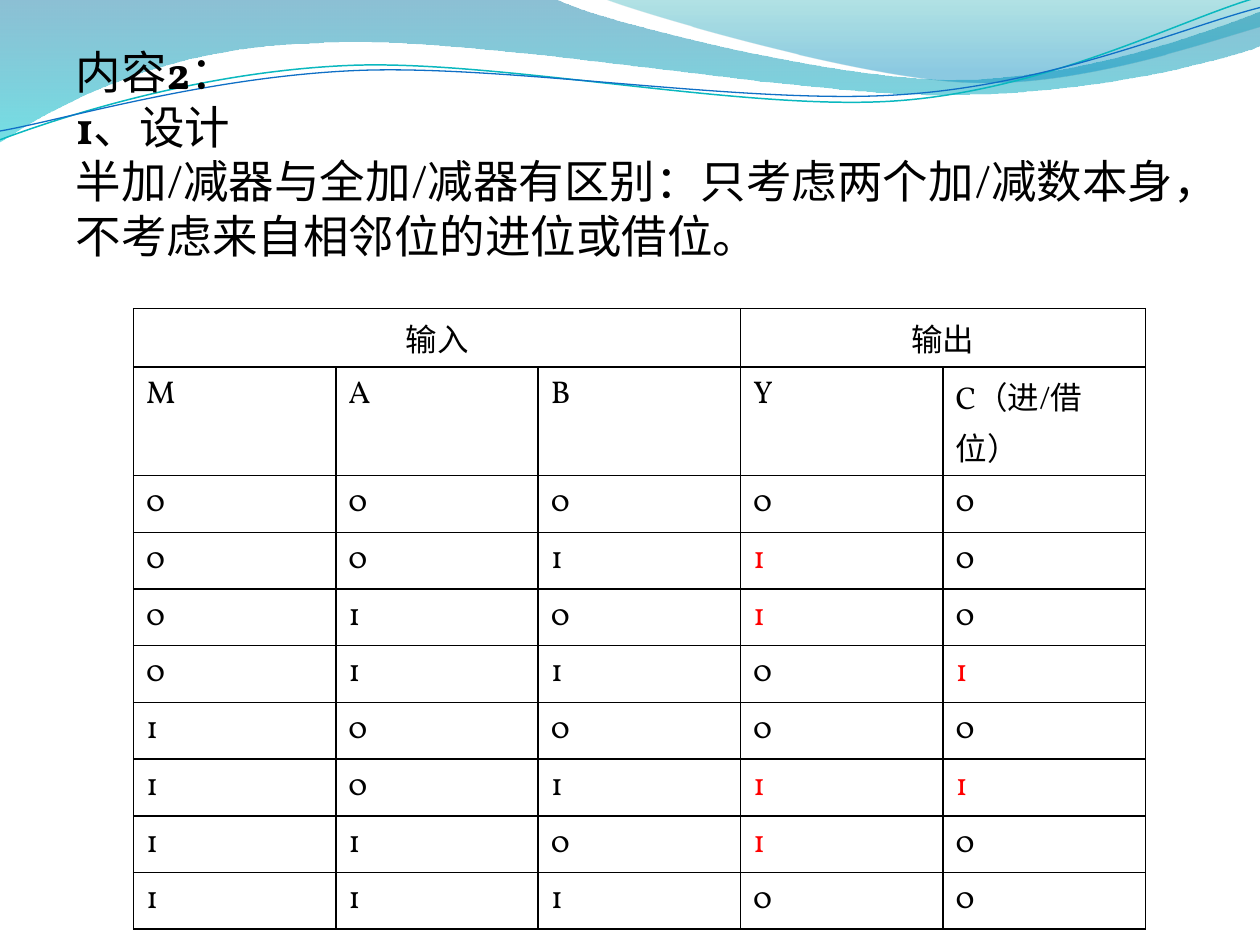
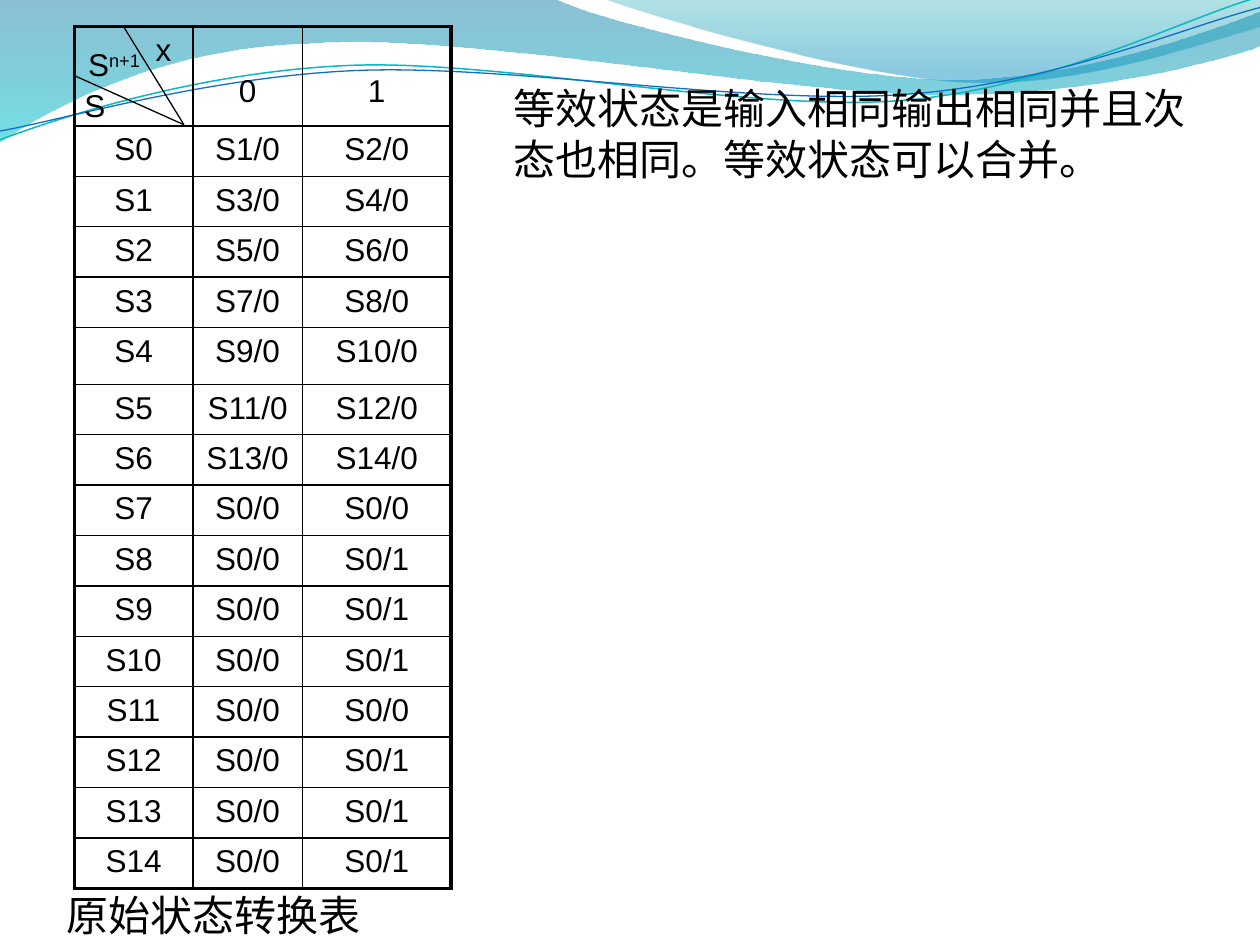
from lxml import etree
from pptx import Presentation
from pptx.dml.color import RGBColor
from pptx.enum.shapes import MSO_CONNECTOR as Connector
from pptx.enum.text import MSO_ANCHOR as Anchor, MSO_AUTO_SIZE as AutoSize, PP_ALIGN as Align
from pptx.oxml.ns import qn
from pptx.util import Inches, Pt

BLACK = RGBColor(0x00, 0x00, 0x00)
RED = RGBColor(0xFF, 0x00, 0x00)
DEEP_BLUE = RGBColor(0x00, 0x74, 0xA1)
CYAN = RGBColor(0x00, 0xC6, 0xCF)
TEAL = RGBColor(0x00, 0xA1, 0xA9)
SKY_BLUE = RGBColor(0x00, 0x8B, 0xBF)
LINE_TEAL = RGBColor(0x0A, 0xB8, 0xBF)
LINE_BLUE = RGBColor(0x0F, 0x6F, 0xC6)

SERIF = "Vollkorn"
SANS = "Arial"
THIN, THICK = 1, 2.25
NOTE_PITCH = Pt(29.3)

# Each wave starts at a point; two numbers are a straight step, six a cubic curve.
# A gradient stop is (position, colour, opacity in percent).
WAVE_BANDS = [
    ([(0, 0), (4.4, -0.01), (4.76, 0.17, 6.64, 0.63, 7.58, 0.63),
      (8.53, 0.63, 9.58, 0.26, 10, 0.09), (10.01, 0.36),
      (9.83, 0.44, 8.7, 0.76, 7.46, 0.75), (6.22, 0.75, 3.82, 0.28, 2.57, 0.34),
      (1.29, 0.36, 0.46, 0.83, -0.01, 1.13), (0, 0)],
     [(0, DEEP_BLUE, 45), (1, CYAN, 55)]),
    ([(4.79, -0.01), (5.09, 0.11, 6.82, 0.62, 7.69, 0.65),
      (8.56, 0.69, 9.61, 0.32, 10, 0.21), (10, 0), (4.79, -0.01)],
     [(0, TEAL, 30), (0.8, SKY_BLUE, 45)]),
]
WAVE_LINES = [
    ([(0, 1.11), (0.48, 0.93, 1.58, 0.57, 2.77, 0.52),
      (3.95, 0.47, 5.93, 0.89, 7.13, 0.8), (8.33, 0.71, 9.38, 0.15, 9.98, -0.02)],
     LINE_TEAL, 0.85),
    ([(0, 1.04), (0.47, 0.96, 1.64, 0.61, 2.83, 0.56),
      (4.03, 0.51, 5.97, 0.84, 7.17, 0.75), (8.36, 0.67, 9.41, 0.21, 10, 0.06)],
     LINE_BLUE, 0.75),
]

# Runs are (text, bold).
DESIGN_NOTES = [
    [("内容", False), ("2", True), ("：", False)],
    [("1", True), ("、设计", False)],
    [("半加/减器与全加/减器有区别：只考虑两个加/减数本身，不考虑来自相邻位的进位或借位。", False)],
]
TRUTH_HEADS = ["M", "A", "B", "Y", "C（进/借位）"]
TRUTH_ROWS = ["00000", "00110", "01010", "01101", "10000", "10111", "11010", "11100"]
FIRST_OUTPUT = 3
NEXT_STATES = [(f"S{2 * n + 1}/0", f"S{2 * n + 2}/0") for n in range(7)]
NEXT_STATES += [("S0/0", f"S0/{output}") for output in "01110111"]


def set_values(target, values):
    for name, value in values.items():
        setattr(target, name, value)


def add_wave(slide, steps, close):
    """Build the outline through all its points, then bend the cubic steps."""
    points = [(Inches(step[i]), Inches(step[i + 1]))
              for step in steps for i in range(0, len(step), 2)]
    builder = slide.shapes.build_freeform(*points[0])
    builder.add_line_segments(points[1:], close=close)
    wave = builder.convert_to_shape()
    segments = iter(list(wave.element.iter(qn("a:lnTo"))))
    for step in steps[1:]:
        segment = next(segments)
        if len(step) == 6:
            segment.addprevious(curve := etree.Element(qn("a:cubicBezTo")))
            for part in (segment, next(segments), next(segments)):
                curve.append(part[0])
                part.getparent().remove(part)
    wave.shadow.inherit = False
    return wave


def draw_master_waves(prs, slide):
    """Draw the waves once and hand them to the slide master."""
    waves = []
    for steps, stops in WAVE_BANDS:
        band = add_wave(slide, steps, True)
        band.line.fill.background()
        band.fill.gradient()
        band.fill.gradient_angle = 270
        for stop, (position, colour, _) in zip(band.fill.gradient_stops, stops):
            stop.position = position
            stop.color.rgb = colour
        for node, (_, _, opacity) in zip(band.element.iter(qn("a:gs")), stops):
            etree.SubElement(node[0], qn("a:alpha"), val=str(opacity * 1000))
        waves.append(band)
    for steps, colour, width in WAVE_LINES:
        ribbon = add_wave(slide, steps, False)
        ribbon.fill.background()
        ribbon.line.color.rgb = colour
        ribbon.line.width = Pt(width)
        waves.append(ribbon)
    for wave in waves:
        prs.slide_master.shapes.element.append(wave.element)


def add_run(paragraph, text, font, size, colour=BLACK, bold=None):
    run = paragraph.add_run()
    run.text = text
    set_values(run.font, {"name": font, "size": Pt(size), "bold": bold})
    run.font.color.rgb = colour
    return run


def add_text(slide, box, text, size=24, inset=None, **layout):
    label = slide.shapes.add_textbox(*map(Inches, box))
    frame = label.text_frame
    set_values(frame, {"word_wrap": True, "auto_size": AutoSize.NONE})
    if inset is not None:
        sides = ("margin_left", "margin_top", "margin_right", "margin_bottom")
        set_values(frame, dict.fromkeys(sides, Inches(inset)))
    paragraph = frame.paragraphs[0]
    set_values(paragraph, layout)
    add_run(paragraph, text, SANS, size)
    return paragraph


def set_borders(cell, widths):
    """Set left, right, top and bottom border widths in points."""
    properties = cell._tc.get_or_add_tcPr()
    for i, (side, width) in enumerate(zip("LRTB", widths)):
        border = etree.Element(qn(f"a:ln{side}"), w=str(Pt(width)))
        fill = etree.SubElement(border, qn("a:solidFill"))
        etree.SubElement(fill, qn("a:srgbClr"), val=str(BLACK))
        properties.insert(i, border)


def add_grid(slide, left, top, widths, heights, outer):
    """Add an unfilled ruled table with the given outer border width."""
    rows, cols = len(heights), len(widths)
    frame = slide.shapes.add_table(rows, cols, Inches(left), Inches(top),
                                   Inches(sum(widths)), Inches(sum(heights)))
    grid = frame.table
    set_values(grid, {"first_row": False, "horz_banding": False})
    for column, width in zip(grid.columns, widths):
        column.width = Inches(width)
    for row, height in zip(grid.rows, heights):
        row.height = Inches(height)
    for r in range(rows):
        for c in range(cols):
            cell = grid.cell(r, c)
            cell.fill.background()
            edges = (c == 0, c == cols - 1, r == 0, r == rows - 1)
            set_borders(cell, [outer if edge else THIN for edge in edges])
    return grid


def fill_cell(cell, text, font, colour=BLACK, align=Align.LEFT):
    paragraph = cell.text_frame.paragraphs[0]
    paragraph.alignment = align
    add_run(paragraph, text, font, 18, colour)


def add_design_notes(slide, box):
    notes = slide.placeholders[1]
    left, top, width, height = map(Inches, box)
    set_values(notes, {"left": left, "top": top, "width": width, "height": height})
    frame = notes.text_frame
    set_values(frame, {"auto_size": AutoSize.NONE, "vertical_anchor": Anchor.TOP})
    for i, runs in enumerate(DESIGN_NOTES):
        paragraph = frame.add_paragraph() if i else frame.paragraphs[0]
        properties = paragraph._p.get_or_add_pPr()
        properties.set("marL", "0")
        properties.set("indent", "0")
        etree.SubElement(properties, qn("a:buNone"))
        set_values(paragraph, {"space_before": Pt(0), "line_spacing": Pt(31.2)})
        for text, bold in runs:
            add_run(paragraph, text, SERIF, 26, bold=bold)


def add_truth_table(slide, left, top, width):
    columns = len(TRUTH_HEADS)
    heights = [0.46, 0.86] + [0.45] * len(TRUTH_ROWS)
    grid = add_grid(slide, left, top, [width / columns] * columns, heights, THIN)
    for first, last, title in ((0, FIRST_OUTPUT - 1, "输入"),
                               (FIRST_OUTPUT, columns - 1, "输出")):
        grid.cell(0, first).merge(grid.cell(0, last))
        fill_cell(grid.cell(0, first), title, SERIF, align=Align.CENTER)
    for r, values in enumerate([TRUTH_HEADS, *TRUTH_ROWS], start=1):
        for c, value in enumerate(values):
            active = c >= FIRST_OUTPUT and value == "1"
            fill_cell(grid.cell(r, c), value, SERIF, RED if active else BLACK)


def add_state_table(slide, left, top):
    heights = [0.79] + [0.4] * len(NEXT_STATES)
    heights[5] = 0.45
    grid = add_grid(slide, left, top, [0.94, 0.87, 1.18], heights, THICK)
    input_head = grid.cell(0, 0)
    input_head.margin_right = Inches(0.17)
    fill_cell(input_head, "x", SANS, align=Align.RIGHT)
    for c, value in enumerate("01", start=1):
        head = grid.cell(0, c)
        set_values(head, {"vertical_anchor": Anchor.BOTTOM, "margin_bottom": Inches(0.13)})
        fill_cell(head, value, SANS, align=Align.CENTER)
    for n, following in enumerate(NEXT_STATES):
        for c, value in enumerate((f"S{n}", *following)):
            fill_cell(grid.cell(n + 1, c), value, SANS, align=Align.CENTER)
    add_corner_head(slide, left, top)


def add_corner_head(slide, left, top):
    """Split the first header cell with two lines and label its parts."""
    for dx, dy in ((0, 0.39), (0.39, 0)):
        ends = (left + dx, top + dy, left + 0.87, top + 0.78)
        divider = slide.shapes.add_connector(Connector.STRAIGHT, *map(Inches, ends))
        divider.line.color.rgb = BLACK
        divider.line.width = Pt(0.75)
        etree.SubElement(divider.element.spPr, qn("a:effectLst"))
    label = {"text": "S", "size": 18, "inset": 0, "alignment": Align.CENTER}
    next_state = add_text(slide, (left + 0.08, top + 0.15, 0.47, 0.3), **label)
    exponent = add_run(next_state, "n+1", SANS, 18)
    exponent._r.get_or_add_rPr().set("baseline", "30000")
    add_text(slide, (left + 0.08, top + 0.47, 0.16, 0.3), **label)


def build_adder_slide(slide):
    title = slide.shapes.title.element
    title.getparent().remove(title)
    add_design_notes(slide, (0.5, 0.3, 9, 6.4))
    add_truth_table(slide, 1.06, 2.45, 8.03)


def build_state_slide(slide):
    add_text(slide, (0.43, 7, 2.68, 0.5), "原始状态转换表", line_spacing=NOTE_PITCH)
    add_state_table(slide, 0.59, 0.21)
    add_text(slide, (3.98, 0.6, 5.75, 0.9),
             "等效状态是输入相同输出相同并且次态也相同。等效状态可以合并。",
             line_spacing=NOTE_PITCH)


def main():
    prs = Presentation()
    set_values(prs, {"slide_width": Inches(10), "slide_height": Inches(7.5)})
    content, blank = prs.slide_layouts[1], prs.slide_layouts[6]
    adder_slide = prs.slides.add_slide(content)
    draw_master_waves(prs, adder_slide)
    build_adder_slide(adder_slide)
    build_state_slide(prs.slides.add_slide(blank))
    prs.save("out.pptx")


if __name__ == "__main__":
    main()
